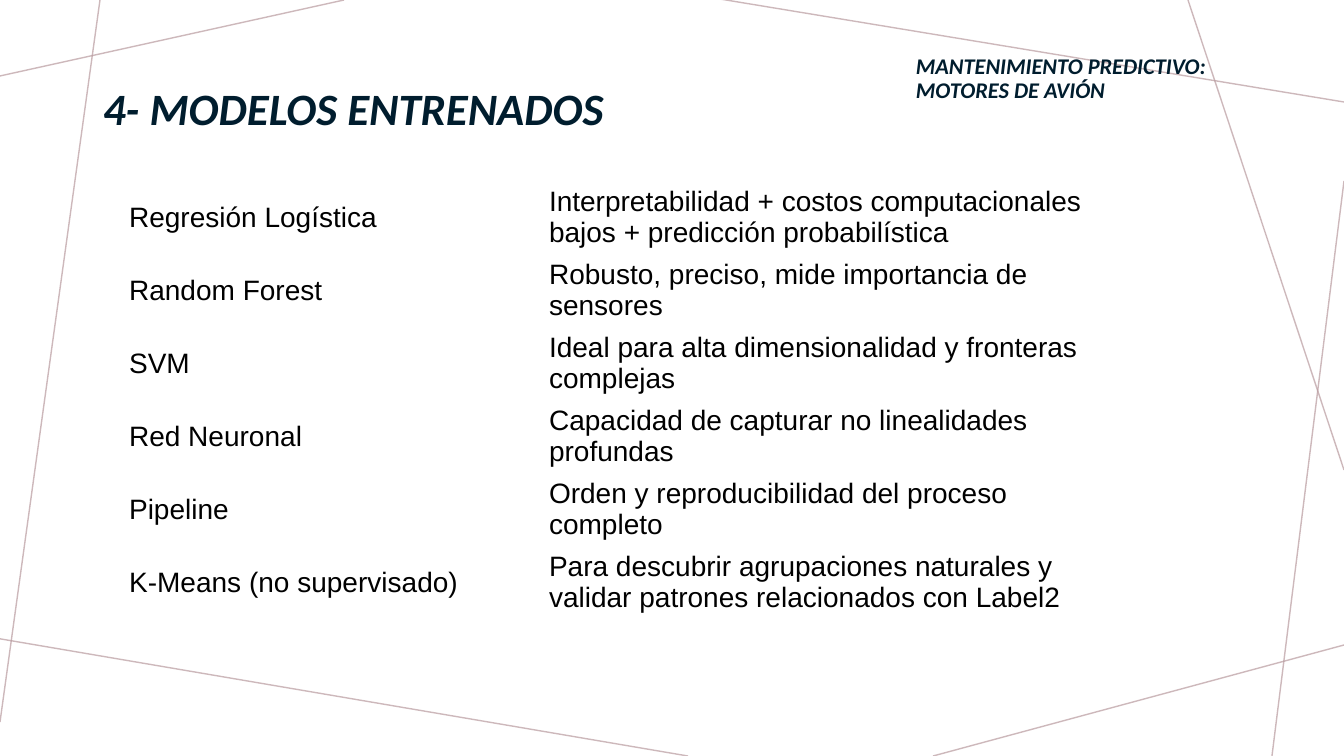
from lxml import etree
from pptx import Presentation
from pptx.dml.color import RGBColor
from pptx.enum.shapes import MSO_CONNECTOR
from pptx.enum.text import MSO_ANCHOR, MSO_AUTO_SIZE, PP_ALIGN
from pptx.oxml.ns import qn
from pptx.util import Pt

STRAIGHT = MSO_CONNECTOR.STRAIGHT
BOTTOM, MIDDLE = MSO_ANCHOR.BOTTOM, MSO_ANCHOR.MIDDLE
FIXED_SIZE = MSO_AUTO_SIZE.NONE
LEFT = PP_ALIGN.LEFT
TITLE_ONLY = 5

EMU_PER_PX = 9071
NAVY, BLACK, MAUVE = "001D2E", "000000", "B99B9F"

BACKDROP = [
    (344, 0, 0, 76),
    (100, 0, 0, 722),
    (688, 756, -5, 638),
    (1344, 645, 933, 756),
    (1344, 181, 1272, 756),
    (1344, 470, 1188, 0),
    (1344, 102, 720, -1),
]

MODELS = [
    ("Regresión Logística",
     "Interpretabilidad + costos computacionales bajos + predicción probabilística"),
    ("Random Forest", "Robusto, preciso, mide importancia de sensores"),
    ("SVM", "Ideal para alta dimensionalidad y fronteras complejas"),
    ("Red Neuronal", "Capacidad de capturar no linealidades profundas"),
    ("Pipeline", "Orden y reproducibilidad del proceso completo"),
    ("K‑Means (no supervisado)",
     "Para descubrir agrupaciones naturales y validar patrones relacionados con Label2"),
]


def px(*lengths):
    return [length * EMU_PER_PX for length in lengths]


def color(hex_value):
    return RGBColor.from_string(hex_value)


def add_run(paragraph, text, font_name, size, hex_value, emphasis=False):
    run = paragraph.add_run()
    run.text = text
    run.font.name = font_name
    run.font.size = Pt(size)
    run.font.color.rgb = color(hex_value)
    run.font.bold = run.font.italic = emphasis


def add_backdrop_line(slide, ends):
    line = slide.shapes.add_connector(STRAIGHT, *px(*ends))
    line.line.color.rgb = color(MAUVE)
    line.line.width = Pt(1)
    properties = line._element.spPr
    tint = properties.find(".//" + qn("a:srgbClr"))
    etree.SubElement(tint, qn("a:alpha"), val="70000")
    etree.SubElement(properties, qn("a:effectLst"))


def write_heading(heading, box, text, size):
    heading.left, heading.top, heading.width, heading.height = px(*box)
    frame = heading.text_frame
    frame.word_wrap = True
    frame.auto_size = FIXED_SIZE
    frame.vertical_anchor = BOTTOM
    paragraph = frame.paragraphs[0]
    paragraph.alignment = LEFT
    paragraph.line_spacing = 0.9
    add_run(paragraph, text, "Calibri", size, NAVY, emphasis=True)


def add_model_table(slide):
    rows = [("", "")] + MODELS
    table = slide.shapes.add_table(len(rows), 2, *px(119, 140, 982, 478)).table
    table.first_row = table.horz_banding = False
    for column, width in zip(table.columns, px(420, 562)):
        column.width = width
    for index, texts in enumerate(rows):
        table.rows[index].height = px(73 if index else 41)[0]
        for cell, text in zip(table.rows[index].cells, texts):
            cell.fill.background()
            cell.vertical_anchor = MIDDLE
            if text:
                add_run(cell.text_frame.paragraphs[0], text, "Arial", 20, BLACK)


def main():
    presentation = Presentation()
    presentation.slide_width, presentation.slide_height = px(1344, 756)
    slide = presentation.slides.add_slide(presentation.slide_layouts[TITLE_ONLY])
    for ends in BACKDROP:
        add_backdrop_line(slide, ends)
    title = slide.shapes.title
    slide.shapes._spTree.append(title._element)
    write_heading(title, (93, 40, 1036, 100), "4- MODELOS ENTRENADOS", 32)
    project = slide.shapes.add_textbox(0, 0, 0, 0)
    write_heading(project, (906, 39, 376, 69),
                  "MANTENIMIENTO PREDICTIVO: MOTORES DE AVIÓN", 16)
    add_model_table(slide)
    presentation.save("out.pptx")


if __name__ == "__main__":
    main()
